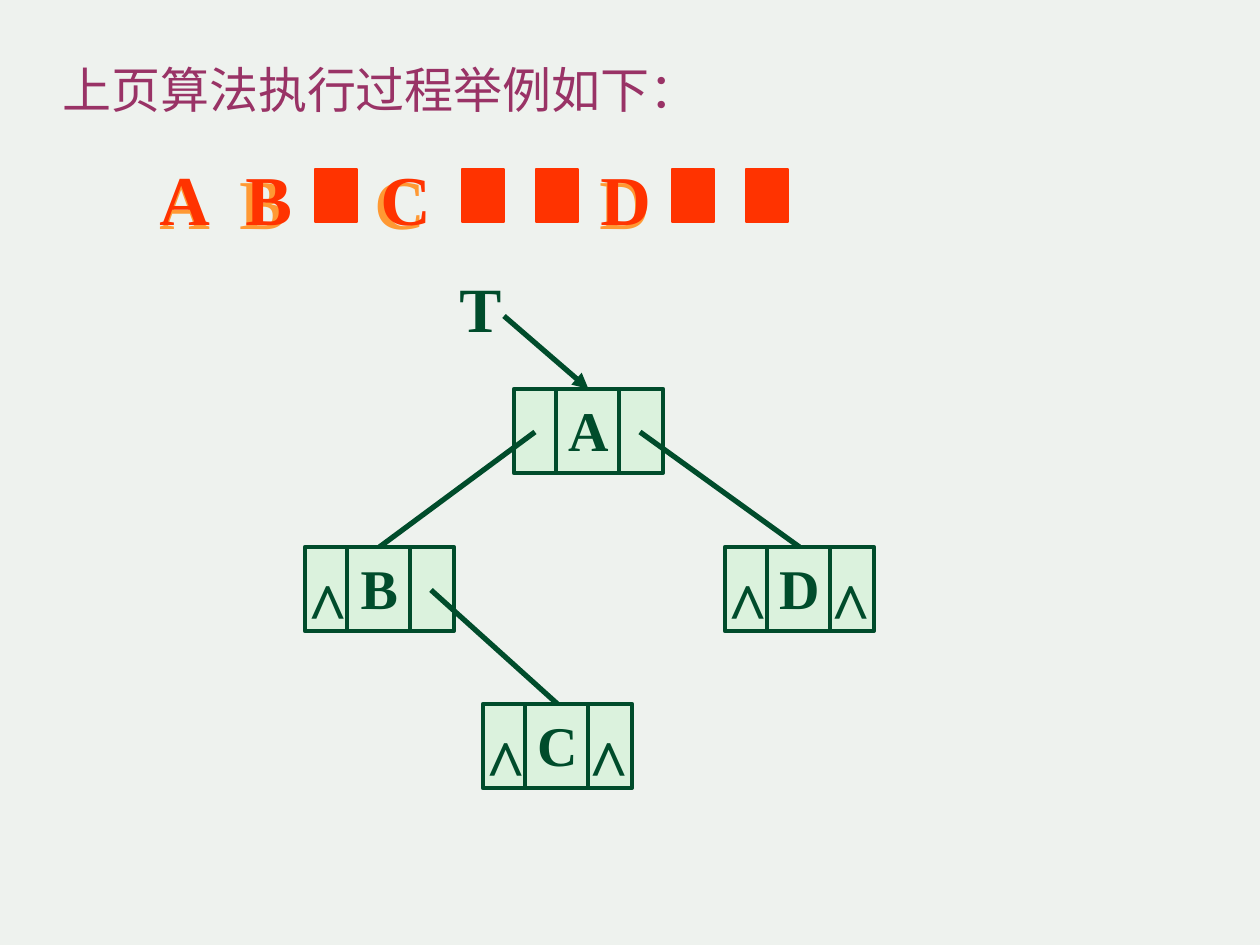
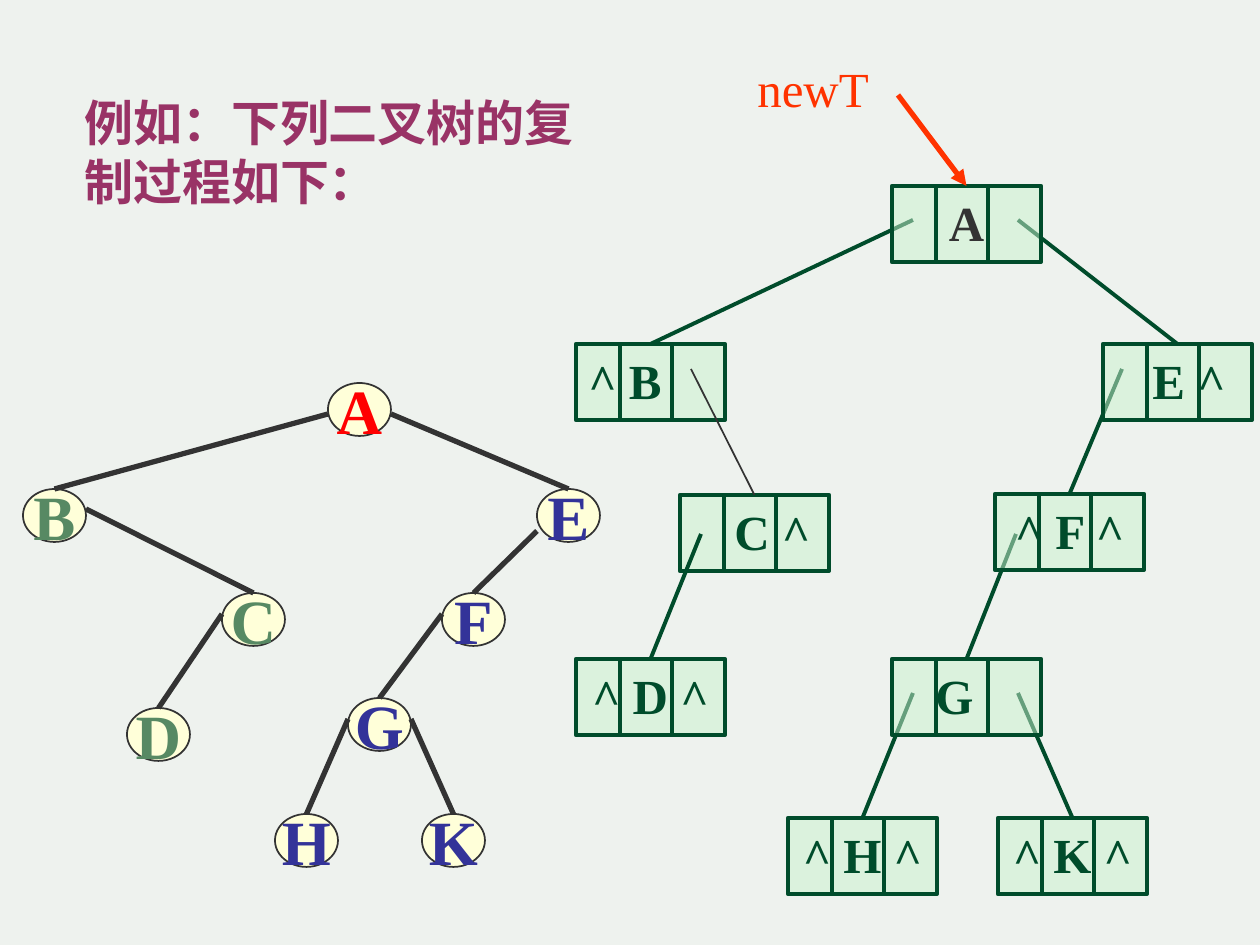
from lxml import etree
from pptx import Presentation
from pptx import util as u
from pptx.dml.color import RGBColor
from pptx.enum import shapes, text
from pptx.oxml.ns import qn

SERIF, SANS = "Times New Roman", "Noto Sans CJK SC"
PAPER, PLUM, RED, ORANGE = "EEF2EE", "993366", "FF3300", "FF9933"
GREEN, MINT, INK = "004C2B", "CAF2CE", "333333"
CREAM, SCARLET, SAGE, NAVY = "FFFFD9", "FF0000", "578963", "333399"
CENTER = text.PP_ALIGN.CENTER

SEQUENCE = {
    "tabs": (80, 215, 440),
    "letters": [("A", 147), ("B", 233), ("C", 368), ("D", 588)],
    "blanks": [315, 462, 536, 672, 746],
}

BUILD = {
    "size": (149, 84), "dividers": (42, 105), "pt": 32,
    "nodes": {"A": (514, 389), "B": (305, 547), "C": (483, 704), "D": (725, 547)},
    "edges": [("A", "B", 21, 43), ("B", "C", 126, 43), ("A", "D", 126, 43)],
    "nulls": [("B", -10), ("C", -10), ("C", 93), ("D", -10), ("D", 93)],
}

COPY = {
    "size": (149, 76), "dividers": (44, 96), "pt": 28,
    "below_edges": {
        "D": (576, 659, "^ D ^", CENTER, 0),
        "C": (680, 495, "C ^", None, 42),
        "B": (576, 344, "^ B", None, 0),
    },
    "above_edges": {
        "H": (788, 818, "^ H ^", CENTER, 0),
        "K": (998, 818, "^ K ^", CENTER, 0),
        "G": (892, 659, "G", None, 31),
        "F": (995, 494, "^ F ^", CENTER, 0),
        "E": (1103, 344, "E ^", None, 37),
        "A": (892, 186, "A", CENTER, 0),
    },
    "edges": [
        ("C", "D", 21, 39), ("A", "B", 21, 34), ("B", "C", 115, 25),
        ("G", "H", 21, 34), ("G", "K", 126, 34), ("F", "G", 21, 40),
        ("E", "F", 19, 25), ("A", "E", 126, 34),
    ],
}

TREE = {
    "size": (63, 53),
    "nodes": {
        "A": (328, 383, SCARLET), "B": (23, 489, SAGE), "C": (222, 593, SAGE),
        "D": (127, 708, SAGE), "E": (537, 489, NAVY), "F": (442, 593, NAVY),
        "G": (348, 698, NAVY), "H": (275, 814, NAVY), "K": (422, 814, NAVY),
    },
    "edges": [
        ("A", "B", 0, 31), ("B", "C", 63, 20), ("C", "D", 0, 21),
        ("A", "E", 63, 31), ("E", "F", 0, 42), ("F", "G", 0, 21),
        ("G", "H", 0, 21), ("G", "K", 63, 21),
    ],
}


def px(n):
    return u.Emu(round(n * 914400 / 126))


def rgb(value):
    return RGBColor.from_string(value)


def new_slide(prs):
    s = prs.slides.add_slide(prs.slide_layouts[6])
    s.background.fill.solid()
    s.background.fill.fore_color.rgb = rgb(PAPER)
    return s


def write(p, content, pt, color, bold=True, font=SERIF):
    r = p.add_run()
    r.text = content
    r.font.name, r.font.size, r.font.bold = font, u.Pt(pt), bold
    r.font.color.rgb = rgb(color)
    etree.SubElement(r._r.get_or_add_rPr(), qn("a:ea"), typeface=font)


def label(s, box, content, pt, color, bold=True, font=SERIF, wrap=False):
    tf = s.shapes.add_textbox(*map(px, box)).text_frame
    tf.word_wrap = wrap
    tf.auto_size = text.MSO_AUTO_SIZE.SHAPE_TO_FIT_TEXT
    p = tf.paragraphs[0]
    if content:
        write(p, content, pt, color, bold, font)
    return p


def title(s, box, content, bold, wrap):
    label(s, box, content, 28, PLUM, bold, SANS, wrap)


def figure(s, kind, box, fill, line, width, alpha=None):
    sp = s.shapes.add_shape(kind, *map(px, box))
    sp.shadow.inherit = False
    sp.fill.solid()
    sp.fill.fore_color.rgb = rgb(fill)
    sp.line.color.rgb = rgb(line)
    sp.line.width = u.Pt(width)
    if alpha:
        clr = sp._element.spPr.find(qn("a:solidFill"))[0]
        etree.SubElement(clr, qn("a:alpha"), val=str(alpha * 1000))
    return sp


def stroke(s, start, end, color, width, arrow=False):
    c = s.shapes.add_connector(shapes.MSO_CONNECTOR.STRAIGHT, *map(px, start + end))
    c.line.color.rgb = rgb(color)
    c.line.width = u.Pt(width)
    if arrow:
        etree.SubElement(c.line._get_or_add_ln(), qn("a:tailEnd"), type="triangle")
    etree.SubElement(c._element.spPr, qn("a:effectLst"))
    return c


def record(s, spec, x, y, content, color=GREEN, align=CENTER, indent=0):
    w, h = spec["size"]
    sp = figure(s, shapes.MSO_SHAPE.RECTANGLE, (x, y, w, h), MINT, GREEN, 2.5, 50)
    tf = sp.text_frame
    tf.word_wrap = True
    tf.vertical_anchor = text.MSO_ANCHOR.TOP
    p = tf.paragraphs[0]
    p.alignment = align or text.PP_ALIGN.LEFT
    if indent:
        p._p.get_or_add_pPr().set("marL", str(px(indent)))
    write(p, content, spec["pt"], color)
    for dx in spec["dividers"]:
        stroke(s, (x + dx, y), (x + dx, y + h), GREEN, 2.25)
    return sp


def edge(s, spots, size, link, color, width):
    parent, child, dx, dy = link
    x, y = spots[parent][:2]
    cx, cy = spots[child][:2]
    return stroke(s, (x + dx, y + dy), (cx + size[0] / 2, cy), color, width)


def sequence(s):
    p = label(s, (147, 137, 840, 113), "", 40, ORANGE, wrap=True)
    p.line_spacing = 1.2
    tabs = etree.SubElement(p._p.get_or_add_pPr(), qn("a:tabLst"))
    for pos in SEQUENCE["tabs"]:
        etree.SubElement(tabs, qn("a:tab"), pos=str(px(pos)), algn="l")
    write(p, "\t".join(name for name, _ in SEQUENCE["letters"]), 40, ORANGE)
    for x in SEQUENCE["blanks"]:
        figure(s, shapes.MSO_SHAPE.RECTANGLE, (x, 169, 42, 53), RED, RED, 1)
    for name, x in SEQUENCE["letters"]:
        label(s, (x, 149, 75, 97), name, 40, RED)


def build_slide(prs):
    s = new_slide(prs)
    sequence(s)
    title(s, (50, 53, 663, 72), "上页算法执行过程举例如下：", False, False)
    spots = BUILD["nodes"]
    nodes = {name: record(s, BUILD, *spot, name) for name, spot in spots.items()}
    for link in BUILD["edges"]:
        edge(s, spots, BUILD["size"], link, GREEN, 3).end_connect(nodes[link[1]], 0)
    for name, dx in BUILD["nulls"]:
        x, y = spots[name]
        label(s, (x + dx, y + 9, 66, 97), "^", 40, GREEN)
    label(s, (447, 263, 67, 88), "T", 36, GREEN)
    stroke(s, (504, 316), (588, 389), GREEN, 3, True).end_connect(nodes["A"], 0)


def tree(s):
    nodes = {}
    for name, (x, y, color) in TREE["nodes"].items():
        sp = figure(s, shapes.MSO_SHAPE.OVAL, (x, y, *TREE["size"]), CREAM, INK, 1)
        tf = sp.text_frame
        tf.word_wrap = False
        tf.vertical_anchor = text.MSO_ANCHOR.MIDDLE
        tf.paragraphs[0].alignment = CENTER
        write(tf.paragraphs[0], name, 36, color)
        nodes[name] = sp
    for link in TREE["edges"]:
        c = edge(s, TREE["nodes"], TREE["size"], link, INK, 3)
        c.end_connect(nodes[link[1]], 0)


def copy_records(s, group):
    nodes = {}
    for name, (x, y, content, align, indent) in group.items():
        color = INK if name == "A" else GREEN
        nodes[name] = record(s, COPY, x, y, content, color, align, indent)
    return nodes


def copy_slide(prs):
    s = new_slide(prs)
    tree(s)
    spots = {**COPY["below_edges"], **COPY["above_edges"]}
    nodes = copy_records(s, COPY["below_edges"])
    links = []
    for link in COPY["edges"]:
        color, width = (INK, 1) if link[:2] == ("B", "C") else (GREEN, 2.25)
        links.append((edge(s, spots, COPY["size"], link, color, width), link[1]))
    nodes.update(copy_records(s, COPY["above_edges"]))
    for c, child in links:
        c.end_connect(nodes[child], 0)
    stroke(s, (898, 95), (966, 186), RED, 3, True).end_connect(nodes["A"], 0)
    title(s, (72, 86, 538, 130), "例如：下列二叉树的复制过程如下：", True, True)
    label(s, (745, 52, 137, 72), "newT", 28, RED, False)


def main():
    prs = Presentation()
    prs.slide_width, prs.slide_height = px(1260), px(945)
    build_slide(prs)
    copy_slide(prs)
    prs.save("out.pptx")


if __name__ == "__main__":
    main()
